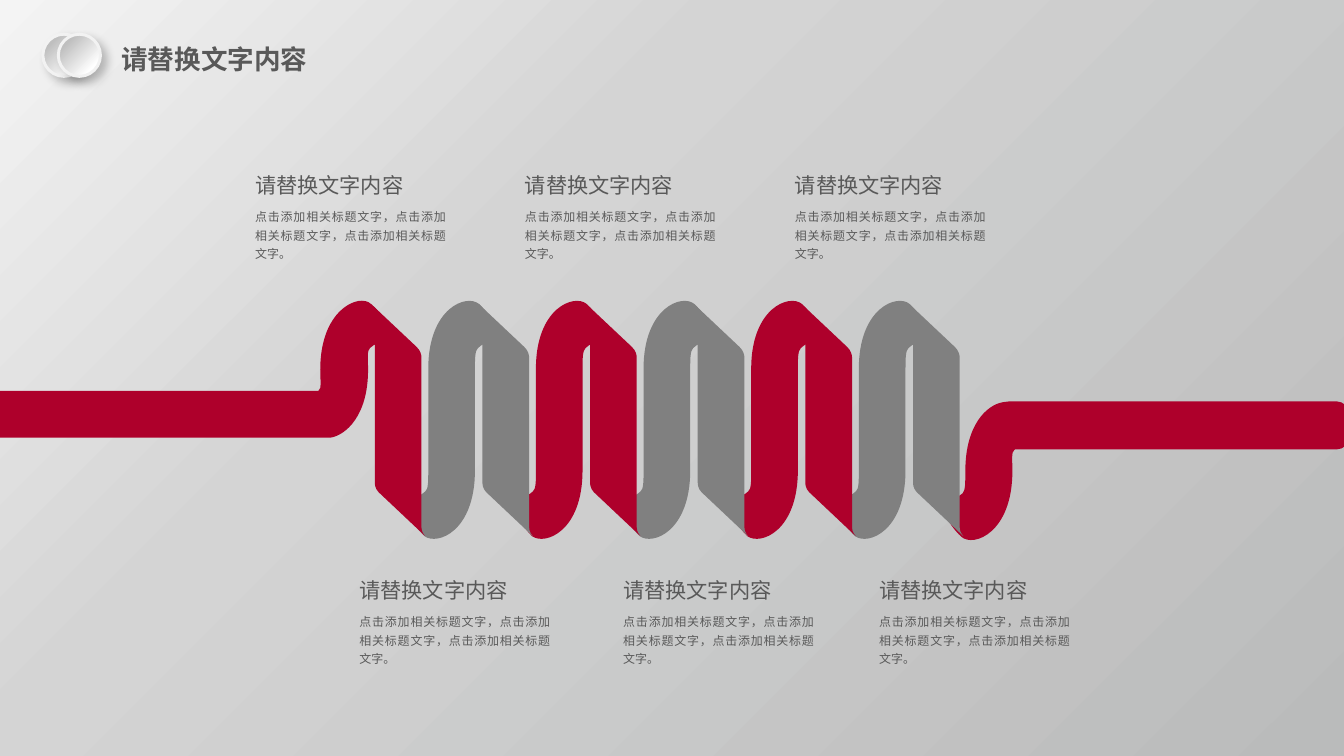
"""Build a slide with a coiled ribbon and six captions."""
from lxml.etree import Element, SubElement
from pptx import Presentation
from pptx.dml.color import RGBColor
from pptx.enum.shapes import MSO_SHAPE as Preset
from pptx.enum.text import MSO_ANCHOR as Anchor, MSO_AUTO_SIZE as AutoSize, PP_ALIGN as Align
from pptx.oxml.ns import qn
from pptx.util import Cm, Pt

RED = RGBColor(0xAE, 0x00, 0x2B)
GRAY = RGBColor(0x80, 0x80, 0x80)
INK = RGBColor(0x59, 0x59, 0x59)
RIM = RGBColor(0xF2, 0xF2, 0xF2)
BLACK = RGBColor(0x00, 0x00, 0x00)
WHITE = RGBColor(0xFF, 0xFF, 0xFF)
SILVER = RGBColor(0xBF, 0xBF, 0xBF)
MIST = RGBColor(0xF4, 0xF4, 0xF4)
FOG = RGBColor(0xD4, 0xD4, 0xD4)
STEEL = RGBColor(0xBA, 0xBB, 0xBB)

HEADING = "请替换文字内容"
DETAIL = "点击添加相关标题文字，点击添加相关标题文字，点击添加相关标题文字。"
COILS = 6
COIL_PITCH = 2.86
CAPTION_ROWS = ((4.45, (6.53, 13.7, 20.87)), (15.21, (9.3, 16.31, 23.11)))

STRAND = (
    (12.62, 12.5), (12.62, 9.83),
    (12.62, 9.53, 12.62, 9.32, 12.7, 9.25),
    (12.93, 9.02, 13.16, 9.14, 13.21, 8.97),
    (13.28, 8.74, 12.93, 8.26, 12.73, 8.08),
    (12.4, 7.8, 11.38, 8.18, 11.38, 9.8),
    (11.38, 12.5),
    (11.38, 12.8, 11.38, 13, 11.3, 13.06),
    (11.07, 13.28, 10.85, 13.18, 10.8, 13.34),
    (10.72, 13.56, 11.07, 14.05, 11.28, 14.25),
    (11.63, 14.5, 12.62, 14.12, 12.62, 12.5),
)
FOLD = (
    (11.2, 14.02), (11.2, 9.5),
    (11.2, 9.45, 11.18, 9.32, 11.07, 9.22),
    (9.86, 8.08),
    (9.88, 8.08, 9.96, 8.18, 9.96, 8.31),
    (9.96, 12.83),
    (9.96, 12.85, 9.96, 12.98, 10.06, 13.08),
    (11.3, 14.25),
    (11.28, 14.22, 11.2, 14.15, 11.2, 14.02),
)
LEFT_END = (
    (9.52, 8),
    (9.65, 7.98, 9.78, 8, 9.86, 8.08),
    (10.08, 8.26, 10.44, 8.74, 10.36, 8.97),
    (10.31, 9.14, 10.08, 9.02, 9.83, 9.25),
    (9.75, 9.32, 9.78, 9.52, 9.78, 9.83),
    (9.78, 11.05, 9.19, 11.56, 8.79, 11.63),
    (-0.1, 11.63), (-0.1, 10.39), (8.46, 10.39), (8.51, 10.31),
    (8.53, 10.21, 8.51, 10.03, 8.51, 9.83),
    (8.51, 8.61, 9.09, 8.08, 9.52, 8),
)
RIGHT_END = (
    (26.8, 10.67), (35.53, 10.67),
    (35.69, 10.67, 35.84, 10.82, 35.84, 10.97),
    (35.84, 11.63),
    (35.84, 11.81, 35.69, 11.94, 35.53, 11.94),
    (26.97, 11.94), (26.95, 11.96),
    (26.87, 12.01, 26.9, 12.22, 26.9, 12.52),
    (26.9, 14.15, 25.88, 14.55, 25.55, 14.27),
    (25.35, 14.1, 24.99, 13.61, 25.07, 13.36),
    (25.12, 13.21, 25.35, 13.31, 25.58, 13.11),
    (25.65, 13.03, 25.65, 12.83, 25.65, 12.52),
    (25.65, 11.3, 26.21, 10.77, 26.64, 10.69),
    (26.7, 10.69, 26.72, 10.67, 26.8, 10.67),
)


def set_gradient(fill, element, stops):
    """Fill with a diagonal gradient of (percent, color) stops."""
    fill.gradient()
    fill.gradient_angle = 315
    stop_list = element.find(".//" + qn("a:gsLst"))
    stop_list.clear()
    for percent, color in stops:
        stop = SubElement(stop_list, qn("a:gs"), pos=str(percent * 1000))
        SubElement(stop, qn("a:srgbClr"), val=str(color))


def write_text(box, text, size, font, bold=False, align=Align.LEFT, spacing=1.0):
    """Write one formatted paragraph into a box."""
    frame = box.text_frame
    frame.word_wrap = True
    frame.auto_size = AutoSize.NONE
    frame.vertical_anchor = Anchor.TOP
    para = frame.paragraphs[0]
    para.alignment = align
    para.line_spacing = spacing
    span = para.add_run()
    span.text = text
    span.font.size = Pt(size)
    span.font.name = font
    span.font.bold = bold
    span.font.color.rgb = INK


def bend_lines(piece, outline):
    """Merge the three lines of each curved segment into one cubic curve."""
    lines = iter(piece.element.findall(".//" + qn("a:lnTo")))
    for segment in outline[1:]:
        line = next(lines)
        if len(segment) == 2:
            continue
        curve = Element(qn("a:cubicBezTo"))
        line.addprevious(curve)
        for side in (line, next(lines), next(lines)):
            curve.append(side[0])
            side.getparent().remove(side)


def add_ribbon(page, outline, color, shift=0):
    """Draw one flat piece of ribbon."""
    points = [(Cm(x + shift), Cm(y)) for segment in outline
              for x, y in zip(segment[::2], segment[1::2])]
    builder = page.shapes.build_freeform(*points[0])
    builder.add_line_segments(points[1:], close=True)
    piece = builder.convert_to_shape()
    bend_lines(piece, outline)
    piece.shadow.inherit = False
    piece.fill.solid()
    piece.fill.fore_color.rgb = color
    piece.line.fill.background()


def add_coil(page):
    """Draw the ribbon from right to left so that each fold lies on top."""
    add_ribbon(page, RIGHT_END, RED)
    for index in reversed(range(COILS)):
        color = GRAY if index % 2 else RED
        if index:
            add_ribbon(page, STRAND, color, (index - 1) * COIL_PITCH)
        else:
            add_ribbon(page, LEFT_END, color)
        add_ribbon(page, FOLD, color, index * COIL_PITCH)


def add_caption(page, left, top):
    """Place a heading with its detail text below."""
    heading = page.shapes.add_textbox(Cm(left), Cm(top), Cm(5.18), Cm(0.94))
    write_text(heading, HEADING, size=16, font="Calibri")
    detail = page.shapes.add_textbox(Cm(left), Cm(top + 0.88), Cm(5.56), Cm(1.75))
    write_text(detail, DETAIL, size=9, font="Arial", align=Align.JUSTIFY, spacing=1.3)


def add_button(page, left):
    """Draw a raised round button beside the title."""
    button = page.shapes.add_shape(Preset.OVAL, Cm(left), Cm(0.91), Cm(1.12), Cm(1.12))
    set_gradient(button.fill, button.element, ((20, SILVER), (80, WHITE), (100, WHITE)))
    button.line.color.rgb = RIM
    button.line.width = Pt(2.25)
    button.shadow.inherit = False
    effects = button.element.spPr.find(qn("a:effectLst"))
    shadow = SubElement(effects, qn("a:outerShdw"), blurRad=str(Pt(7)), dist=str(Pt(5.9)),
                        dir=str(45 * 60000), algn="tl", rotWithShape="0")
    tint = SubElement(shadow, qn("a:srgbClr"), val=str(BLACK))
    SubElement(tint, qn("a:alpha"), val="23000")


def add_title(page):
    """Move and format the title placeholder."""
    title = page.shapes.title
    title.left, title.top, title.width, title.height = Cm(2.97), Cm(1.02), Cm(5.6), Cm(1.12)
    write_text(title, HEADING, size=20, font="Calibri", bold=True)


def main():
    """Assemble and save the deck."""
    deck = Presentation()
    deck.slide_width, deck.slide_height = Cm(35.71), Cm(20.09)
    page = deck.slides.add_slide(deck.slide_layouts[5])
    set_gradient(page.background.fill, page.element, ((0, MIST), (35, FOG), (100, STEEL)))
    add_title(page)
    add_coil(page)
    for top, lefts in CAPTION_ROWS:
        for left in lefts:
            add_caption(page, left, top)
    for left in (1.14, 1.55):
        add_button(page, left)
    deck.save("out.pptx")


if __name__ == "__main__":
    main()
